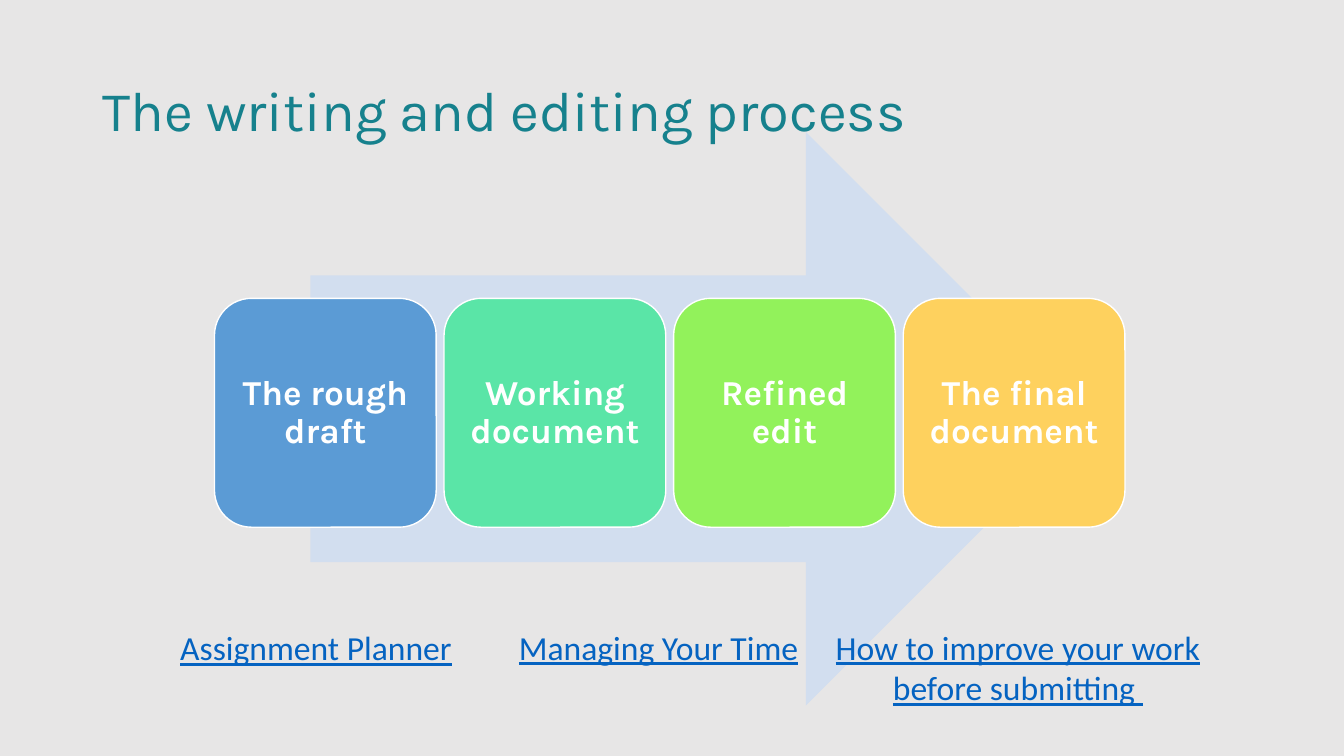
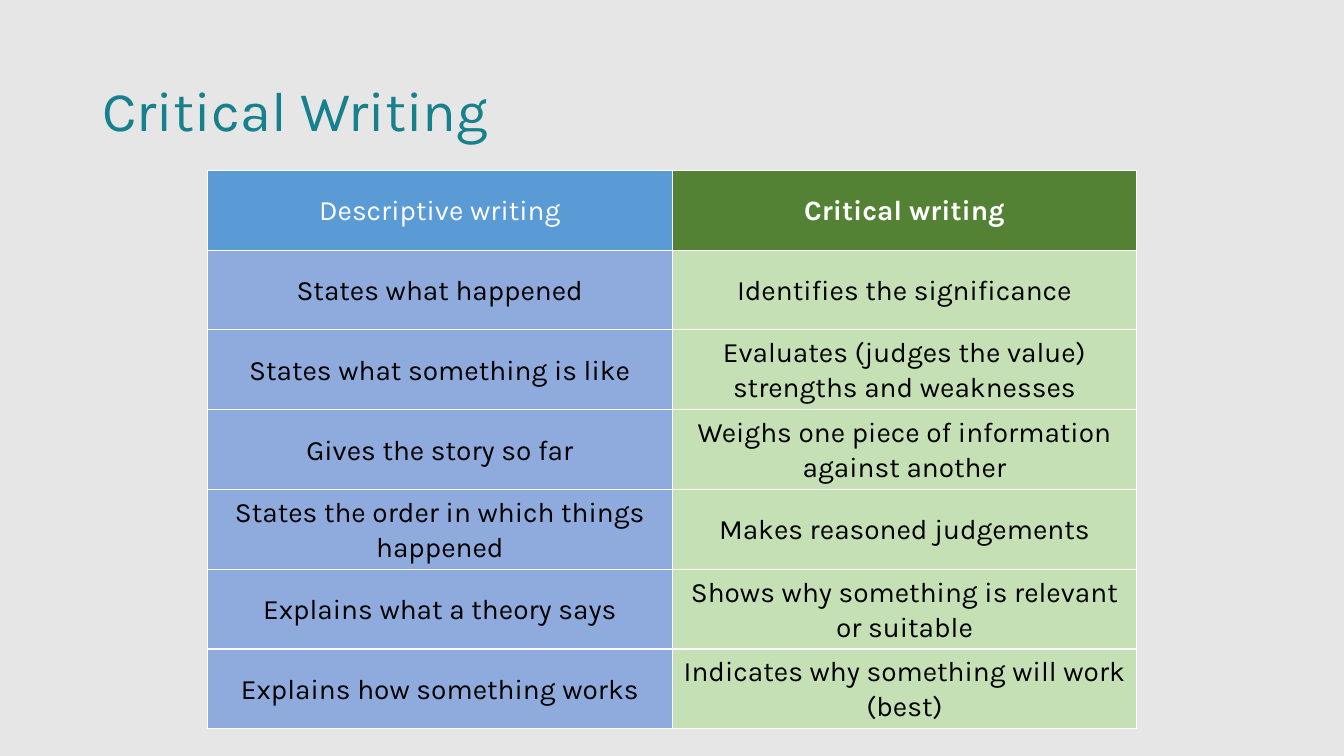
from lxml import etree
from pptx import Presentation
from pptx.dml.color import RGBColor
from pptx.enum import shapes, text
from pptx.oxml import ns
from pptx.util import Pt

WHITE, BLACK, GREY = "FFFFFF", "000000", "E7E6E6"
TEAL, LINK_BLUE, PALE_BLUE = "16818D", "0563C1", "D2DEEF"
HEADING_FONT, LINK_FONT = "Karla", "Calibri"
TITLE_ONLY = 5

STAGES = [
    ("The rough draft", "5B9BD5"),
    ("Working document", "5AE5A7"),
    ("Refined edit", "92F25B"),
    ("The final document", "FED15E"),
]
LINKS = [
    ("Assignment Planner", (121.7, 444.6, 221, 36), text.PP_ALIGN.LEFT),
    ("Managing Your Time", (363.6, 444.2, 221, 36), text.PP_ALIGN.LEFT),
    ("How to improve your work before submitting ", (560, 444.2, 334, 65.5),
     text.PP_ALIGN.CENTER),
]
COMPARISON = [
    ("Descriptive writing", "Critical writing"),
    ("States what happened", "Identifies the significance"),
    ("States what something is like",
     "Evaluates (judges the value) strengths and weaknesses"),
    ("Gives the story so far", "Weighs one piece of information against another"),
    ("States the order in which things happened", "Makes reasoned judgements"),
    ("Explains what a theory says", "Shows why something is relevant or suitable"),
    ("Explains how something works", "Indicates why something will work (best)"),
]
HEADER_FILLS = ("5B9BD5", "548235")
BODY_FILLS = ("8FAADC", "C5E0B4")


def color(hex_value):
    return RGBColor.from_string(hex_value)


def points(*lengths):
    return [Pt(length) for length in lengths]


def write(frame, words, size, hex_value, font=HEADING_FONT, bold=False,
          align=text.PP_ALIGN.CENTER, spacing=None):
    """Fill a text frame with one formatted paragraph and return it."""
    frame.text = words
    para = frame.paragraphs[0]
    para.alignment = align
    if spacing:
        para.line_spacing = spacing
    para.font.name = font
    para.font.size = Pt(size)
    para.font.bold = bold
    para.font.color.rgb = color(hex_value)
    return para


def add_page(deck, heading):
    page = deck.slides.add_slide(deck.slide_layouts[TITLE_ONLY])
    title = page.shapes.title
    title.left, title.top, title.width, title.height = points(66, 28.8, 828, 104.4)
    title.text_frame.vertical_anchor = text.MSO_ANCHOR.MIDDLE
    write(title.text_frame, heading, 40, TEAL, align=text.PP_ALIGN.LEFT, spacing=0.9)
    return page


def add_filled_shape(page, kind, box, fill, line=None):
    shape = page.shapes.add_shape(kind, *points(*box))
    shape.shadow.inherit = False
    shape.fill.solid()
    shape.fill.fore_color.rgb = color(fill)
    if line:
        shape.line.color.rgb = color(line)
        shape.line.width = Pt(1)
    else:
        shape.line.fill.background()
    return shape


def add_stages(page, box, gap):
    """Spread the stage cards evenly over the box, left to right."""
    left, top, width, height = box
    card_width = (width - gap * (len(STAGES) - 1)) / len(STAGES)
    for index, (label, fill) in enumerate(STAGES):
        card_left = left + index * (card_width + gap)
        card = add_filled_shape(page, shapes.MSO_SHAPE.ROUNDED_RECTANGLE,
                                (card_left, top, card_width, height), fill, WHITE)
        frame = card.text_frame
        frame.word_wrap = True
        frame.vertical_anchor = text.MSO_ANCHOR.MIDDLE
        frame.margin_left = frame.margin_right = Pt(7)
        write(frame, label, 25, WHITE, bold=True, spacing=0.9)


def add_link_label(page, words, box, align):
    frame = page.shapes.add_textbox(*points(*box)).text_frame
    frame.word_wrap = True
    para = write(frame, words, 24, LINK_BLUE, LINK_FONT, align=align)
    para.font.underline = True


def add_borders(cell, hex_value, width):
    properties = cell._tc.get_or_add_tcPr()
    for side in ("a:lnL", "a:lnR", "a:lnT", "a:lnB"):
        line = etree.SubElement(properties, ns.qn(side), w=str(Pt(width)))
        fill = etree.SubElement(line, ns.qn("a:solidFill"))
        etree.SubElement(fill, ns.qn("a:srgbClr"), val=hex_value)


def fill_cell(cell, words, fill, ink, bold):
    add_borders(cell, WHITE, 1)
    cell.fill.solid()
    cell.fill.fore_color.rgb = color(fill)
    cell.vertical_anchor = text.MSO_ANCHOR.MIDDLE
    cell.margin_left = cell.margin_right = Pt(3.6)
    cell.margin_top = cell.margin_bottom = 0
    write(cell.text_frame, words, 20, ink, bold=bold, spacing=1.07)


def add_comparison(page, box):
    table = page.shapes.add_table(len(COMPARISON), 2, *points(*box)).table
    table.first_row = table.horz_banding = False
    for row, entries in enumerate(COMPARISON):
        is_header = row == 0
        fills = HEADER_FILLS if is_header else BODY_FILLS
        for column, words in enumerate(entries):
            fill_cell(table.cell(row, column), words, fills[column],
                      WHITE if is_header else BLACK, is_header and column == 1)


def build_process_page(deck):
    page = add_page(deck, "The writing and editing process")
    add_filled_shape(page, shapes.MSO_SHAPE.RIGHT_ARROW,
                     (221.8, 94.3, 558.7, 409.7), PALE_BLUE)
    add_stages(page, (153.2, 213.1, 650.4, 163.5), gap=5.6)
    for words, box, align in LINKS:
        add_link_label(page, words, box, align)


def build_comparison_page(deck):
    page = add_page(deck, "Critical Writing")
    add_comparison(page, (148.3, 121.7, 663.8, 398.9))


def main():
    deck = Presentation()
    deck.slide_width, deck.slide_height = points(960, 540)
    background = deck.slide_master.background.fill
    background.solid()
    background.fore_color.rgb = color(GREY)
    build_process_page(deck)
    build_comparison_page(deck)
    deck.save("out.pptx")


if __name__ == "__main__":
    main()
